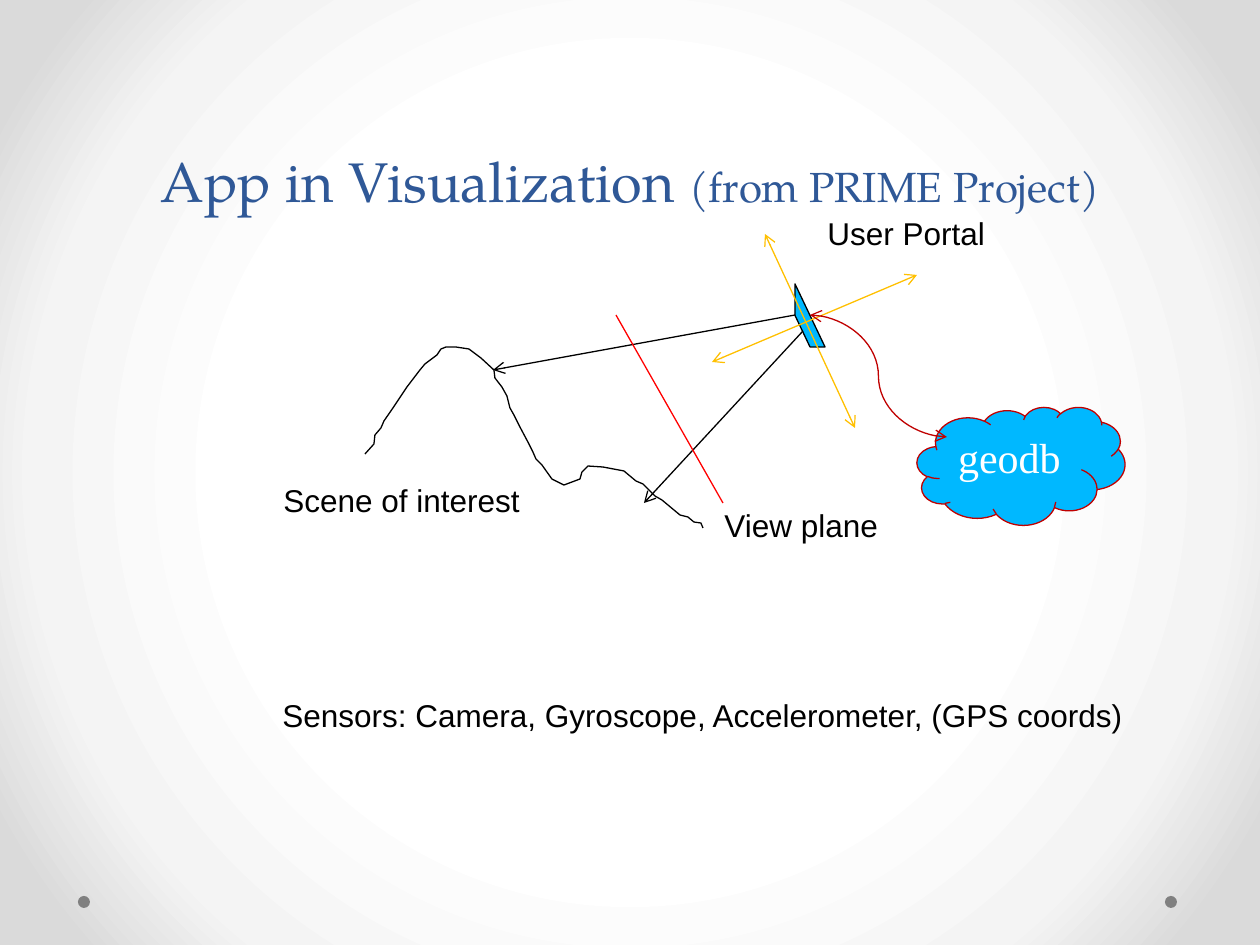
import pptx
import pptx.util
import pptx.dml.color
import pptx.enum.shapes
import pptx.enum.text
import pptx.oxml
import pptx.oxml.ns

RGB = pptx.dml.color.RGBColor
KIND = pptx.enum.shapes.MSO_SHAPE
LINK = pptx.enum.shapes.MSO_CONNECTOR
SIZE = pptx.enum.text.MSO_AUTO_SIZE
ALIGN = pptx.enum.text.PP_ALIGN
ANCHOR = pptx.enum.text.MSO_ANCHOR

BLACK = RGB(0, 0, 0)
WHITE = RGB(255, 255, 255)
GRAY = RGB(0x80, 0x80, 0x80)
NAVY = RGB(0x2F, 0x58, 0x97)
SKY = RGB(0, 0xB8, 0xFF)
RED = RGB(255, 0, 0)
WINE = RGB(0xC0, 0, 0)
GOLD = RGB(255, 0xC0, 0)
GLOW = ((50, WHITE), (76, RGB(0xF4, 0xF4, 0xF4)), (92, RGB(0xDA, 0xDA, 0xDA)))

SCALE = pptx.util.Inches(1) / 126
THIN = pptx.util.Pt(0.75)

LABELS = (
    ("View plane", 712, 500, 180),
    ("Scene of interest", 271, 475, 263),
    ("User Portal", 815, 208, 184),
    ("Sensors: Camera, Gyroscope, Accelerometer, (GPS coords)", 270, 690, 873),
)
RIDGE = (
    (365, 454), (374, 444), (375, 435), (381, 428), (384, 421), (393, 408),
    (397, 402), (403, 393), (407, 387), (420, 370), (425, 364), (437, 355),
    (441, 349), (446, 347), (456, 347), (469, 349), (481, 358), (494, 370),
    (495, 378), (502, 387), (507, 396), (510, 408), (514, 415), (517, 421),
    (520, 427), (529, 444), (533, 452), (536, 459), (542, 465), (552, 479),
    (564, 485), (580, 479), (582, 472), (588, 466), (603, 467), (624, 471),
    (636, 481), (643, 484), (655, 496), (662, 500), (680, 515), (688, 517),
    (694, 522), (701, 523), (703, 528),
)


def px(*nums):
    return [round(n * SCALE) for n in nums]


def style(run, size, font, color):
    run.font.size = pptx.util.Pt(size)
    run.font.name = font
    run.font.color.rgb = color


def paint(shape, fill=None, line=None):
    shape.shadow.inherit = False
    if fill is None:
        shape.fill.background()
    else:
        shape.fill.solid()
        shape.fill.fore_color.rgb = fill
    if line is None:
        shape.line.fill.background()
    else:
        shape.line.color.rgb = line
        shape.line.width = THIN


def add_glow(slide):
    """Give the slide a radial gradient background."""
    slide.background.fill.gradient()
    grad = slide.element.find(".//" + pptx.oxml.ns.qn("a:gradFill"))
    stops = "".join(
        f'<a:gs pos="{pos * 1000}"><a:srgbClr val="{color}"/></a:gs>'
        for pos, color in GLOW)
    fresh = pptx.oxml.parse_xml(
        f'<a:gradFill {pptx.oxml.ns.nsdecls("a")} rotWithShape="1">'
        f'<a:gsLst>{stops}</a:gsLst><a:path path="circle">'
        '<a:fillToRect l="50000" t="50000" r="50000" b="50000"/>'
        '</a:path></a:gradFill>')
    grad.getparent().replace(grad, fresh)


def add_title(slide):
    title = slide.shapes.title
    title.left, title.top, title.width, title.height = px(63, 0, 1134, 220)
    frame = title.text_frame
    frame.auto_size = SIZE.NONE
    frame.vertical_anchor = ANCHOR.BOTTOM
    frame.text = "App in Visualization "
    para = frame.paragraphs[0]
    para.alignment = ALIGN.CENTER
    para.line_spacing = pptx.util.Pt(58)
    para.add_run().text = "(from PRIME Project)"
    for run, size in zip(para.runs, (32, 24)):
        style(run, size, "TeX Gyre Pagella", NAVY)


def add_form(slide, kind, box, fill, line=None):
    form = slide.shapes.add_shape(kind, *px(*box))
    paint(form, fill, line)
    return form


def add_ridge(slide):
    pen = slide.shapes.build_freeform(*RIDGE[0], scale=SCALE)
    pen.add_line_segments(RIDGE[1:], close=False)
    paint(pen.convert_to_shape(), line=BLACK)


def add_link(slide, ends, color, tips=(), kind=LINK.STRAIGHT):
    """Draw a connector; tips names the ends that carry an arrow."""
    link = slide.shapes.add_connector(kind, *px(*ends))
    link.line.color.rgb = color
    link.line.width = THIN
    line = link.line._get_or_add_ln()
    for tip in tips:
        end = pptx.oxml.parse_xml(
            f'<a:{tip} {pptx.oxml.ns.nsdecls("a")} type="arrow"/>')
        line.append(end)
    link._element.spPr.append(pptx.oxml.parse_xml(
        f'<a:effectLst {pptx.oxml.ns.nsdecls("a")}/>'))


def add_label(slide, text, left, top, width):
    frame = slide.shapes.add_textbox(*px(left, top, width, 50)).text_frame
    frame.word_wrap = False
    frame.auto_size = SIZE.SHAPE_TO_FIT_TEXT
    frame.text = text
    style(frame.paragraphs[0].runs[0], 18, "Arial", BLACK)


def add_cloud(slide):
    cloud = add_form(slide, KIND.CLOUD, (917, 407, 208, 118), SKY, WINE)
    frame = cloud.text_frame
    frame.text = "geodb"
    frame.vertical_anchor = ANCHOR.TOP
    frame.paragraphs[0].alignment = ALIGN.LEFT
    style(frame.paragraphs[0].runs[0], 24, "Times New Roman", WHITE)


def main():
    deck = pptx.Presentation()
    deck.slide_width, deck.slide_height = px(1260, 945)
    slide = deck.slides.add_slide(deck.slide_layouts[5])
    both = ("headEnd", "tailEnd")

    add_glow(slide)
    for left in (1165, 78):
        add_form(slide, KIND.OVAL, (left, 896, 12, 12), GRAY)
    add_title(slide)
    add_ridge(slide)
    portal = add_form(slide, KIND.DIAGONAL_STRIPE, (795, 284, 30, 63), SKY, BLACK)
    portal._element.spPr.xfrm.set("flipV", "1")
    for ends in ((795, 315, 493, 370), (803, 331, 644, 503)):
        add_link(slide, ends, BLACK, ("tailEnd",))
    add_link(slide, (616, 315, 723, 503), RED)
    for label in LABELS:
        add_label(slide, *label)
    for ends in ((765, 234, 855, 428), (712, 362, 917, 275)):
        add_link(slide, ends, GOLD, both)
    add_cloud(slide)
    add_link(slide, (947, 437, 810, 315), WINE, both, LINK.CURVE)
    deck.save("out.pptx")


if __name__ == "__main__":
    main()
